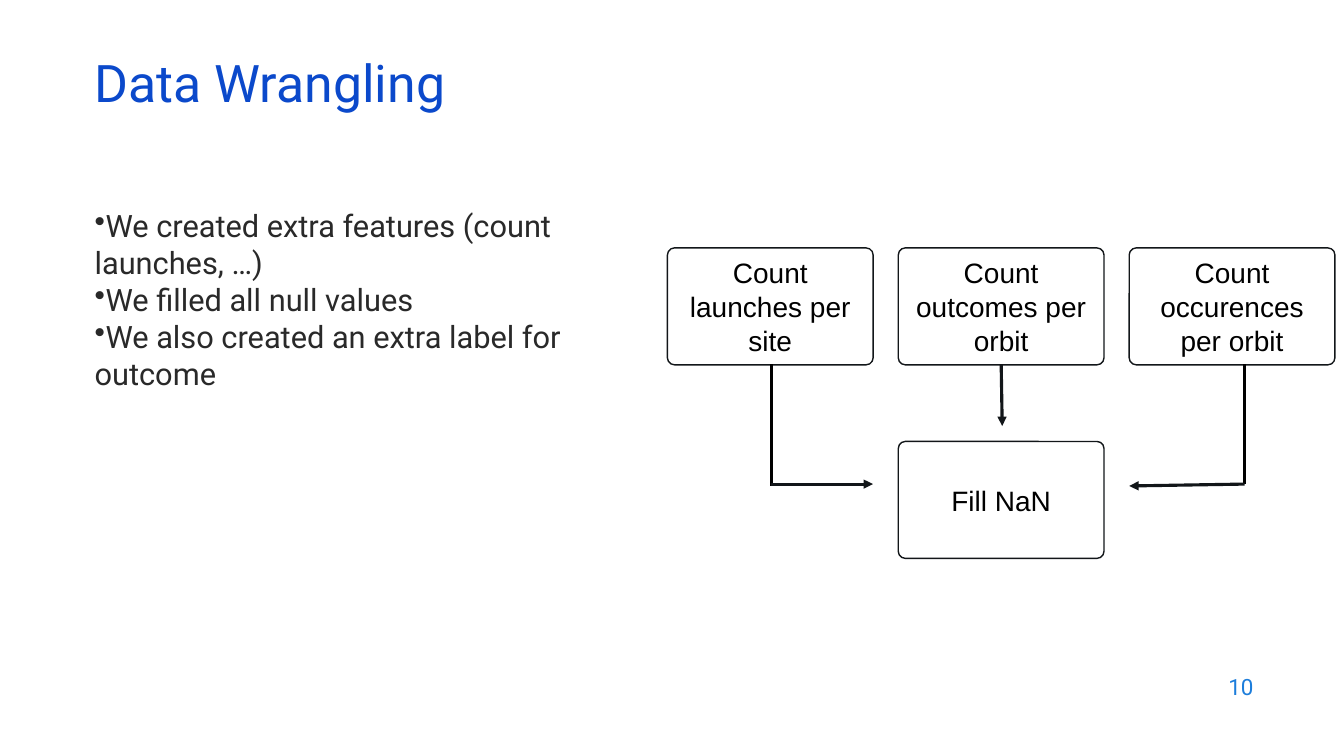
from dataclasses import dataclass

from lxml import etree
from pptx import Presentation, util as u
from pptx.dml.color import RGBColor
from pptx.enum import shapes, text
from pptx.oxml import ns

LEFT, TOP = 6.62, 2.46
COLUMN, ROW = 2.29, 1.92
BOX_WIDTH, BOX_HEIGHT = 2.04, 1.16
INK, BLACK, WHITE = "121619", "000000", "FFFFFF"


@dataclass(frozen=True)
class Step:
    """A box of the flow, placed by column and row."""
    label: str
    column: int
    row: int


@dataclass(frozen=True)
class Flow:
    """A line between two (column, row) points of the grid."""
    start: tuple[float, float]
    end: tuple[float, float]
    color: str = INK
    arrow: bool = True


@dataclass(frozen=True)
class Passage:
    """A block of Roboto text and its area in inches."""
    lines: tuple[str, ...]
    area: tuple[float, float, float, float]
    size: int
    color: str
    anchor: text.MSO_ANCHOR = text.MSO_ANCHOR.MIDDLE
    align: text.PP_ALIGN = text.PP_ALIGN.LEFT
    spacing: float = 1.0
    bulleted: bool = False


PASSAGES = (
    Passage(("Data Wrangling",), (0.84, 0.59, 11.5, 0.6), 37, "0B49CB", spacing=0.7),
    Passage(("We created extra features (count launches, …)",
             "We filled all null values",
             "We also created an extra label for outcome"),
            (0.84, 2, 5.29, 4.76), 22, "292929", text.MSO_ANCHOR.TOP, bulleted=True),
    Passage(("10",), (9.53, 6.59, 3, 0.44), 16, "1C7DDB", align=text.PP_ALIGN.RIGHT),
)
FILL = Step("Fill NaN", 1, 1)
OUTCOMES = Step("Count outcomes per orbit", 1, 0)
STEPS = (
    FILL,
    Step("Count launches per site", 0, 0),
    Step("Count occurences per orbit", 2, 0),
    OUTCOMES,
)
OUTCOMES_TO_FILL = Flow((1.45, 0.6), (1.45, 0.92))
FLOWS = (
    Flow((0.45, 0.6), (0.45, 1.23), BLACK, arrow=False),
    Flow((2.5, 0.6), (2.5, 1.22), BLACK, arrow=False),
    OUTCOMES_TO_FILL,
    Flow((0.45, 1.22), (0.89, 1.22)),
    Flow((2.5, 1.22), (2, 1.23)),
)


def rgb(value: str) -> RGBColor:
    """Turn a hex string into a colour."""
    return RGBColor.from_string(value)


def grid(column: float, row: float) -> tuple[int, int]:
    """Give the slide position of a grid point."""
    return u.Inches(LEFT + COLUMN * column), u.Inches(TOP + ROW * row)


def style_font(font, name: str, size: int, color: str) -> None:
    """Set typeface, size and colour."""
    font.name, font.size = name, u.Pt(size)
    font.color.rgb = rgb(color)


def add_passage(slide, passage: Passage) -> None:
    """Draw a text block, with bullets where asked."""
    frame = slide.shapes.add_textbox(*map(u.Inches, passage.area)).text_frame
    frame.word_wrap = True
    frame.vertical_anchor = passage.anchor
    frame.text = "\n".join(passage.lines)
    for paragraph in frame.paragraphs:
        paragraph.alignment = passage.align
        paragraph.line_spacing = passage.spacing
        if passage.bulleted:
            properties = paragraph._p.get_or_add_pPr()
            etree.SubElement(properties, ns.qn("a:buChar"), char="•")
        for run in paragraph.runs:
            style_font(run.font, "Roboto", passage.size, passage.color)


def add_step(slide, step: Step):
    """Draw a rounded box with its centred label."""
    box = slide.shapes.add_shape(
        shapes.MSO_SHAPE.ROUNDED_RECTANGLE, *grid(step.column, step.row),
        u.Inches(BOX_WIDTH), u.Inches(BOX_HEIGHT))
    box.adjustments[0] = 0.06
    box.shadow.inherit = False
    box.fill.solid()
    box.fill.fore_color.rgb = rgb(WHITE)
    box.line.color.rgb = rgb(INK)
    box.line.width = u.Pt(1)
    frame = box.text_frame
    frame.word_wrap = True
    frame.vertical_anchor = text.MSO_ANCHOR.MIDDLE
    frame.text = step.label
    paragraph = frame.paragraphs[0]
    paragraph.alignment = text.PP_ALIGN.CENTER
    style_font(paragraph.runs[0].font, "Arial", 20, BLACK)
    return box


def add_flow(slide, flow: Flow):
    """Draw a straight line, with an arrowhead where asked."""
    link = slide.shapes.add_connector(
        shapes.MSO_CONNECTOR.STRAIGHT, *grid(*flow.start), *grid(*flow.end))
    link.line.color.rgb = rgb(flow.color)
    link.line.width = u.Pt(2.25)
    if flow.arrow:
        etree.SubElement(link.line._get_or_add_ln(), ns.qn("a:tailEnd"), type="triangle")
    etree.SubElement(link._element.spPr, ns.qn("a:effectLst"))
    return link


def main() -> None:
    """Build the slide and save it."""
    deck = Presentation()
    deck.slide_width, deck.slide_height = u.Inches(13.33), u.Inches(7.5)
    slide = deck.slides.add_slide(deck.slide_layouts[6])
    for passage in PASSAGES:
        add_passage(slide, passage)
    boxes = {step: add_step(slide, step) for step in STEPS}
    links = {flow: add_flow(slide, flow) for flow in FLOWS}
    links[OUTCOMES_TO_FILL].begin_connect(boxes[OUTCOMES], 2)
    deck.save("out.pptx")


if __name__ == "__main__":
    main()
